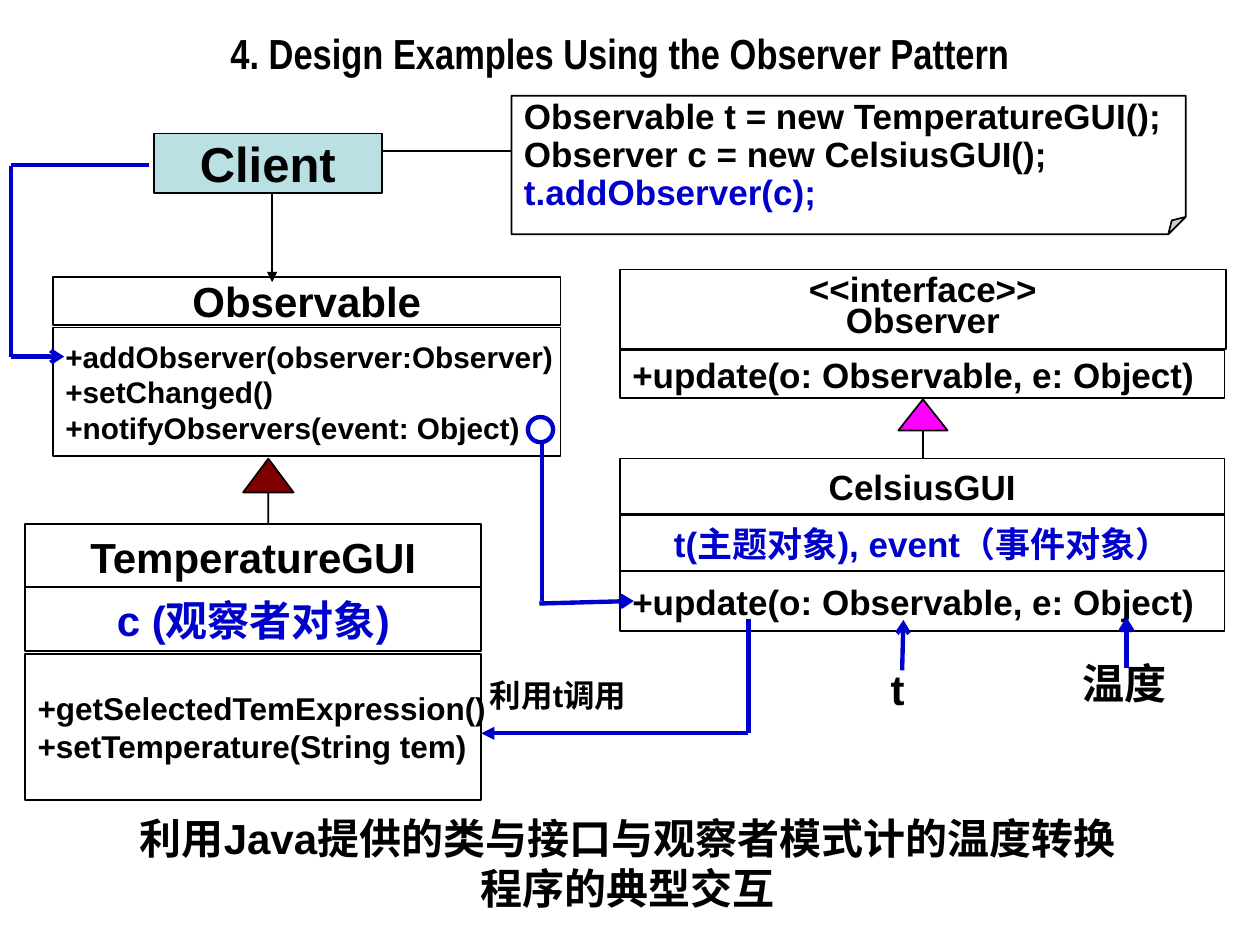
from lxml import etree
from pptx import Presentation
from pptx import util as u
from pptx.dml.color import RGBColor
from pptx.enum import shapes, text
from pptx.oxml.ns import qn

HUES = {"black": "000000", "white": "FFFFFF", "blue": "0000CC",
        "teal": "BBE0E3", "maroon": "800000", "pink": "FF00FF"}
KIND = shapes.MSO_SHAPE
MID = text.PP_ALIGN.CENTER
LEFT = text.PP_ALIGN.LEFT


def rgb(hue):
    return RGBColor.from_string(HUES[hue])


def inch(nums):
    return [u.Inches(n) for n in nums]


def write(frame, rows, size, hue="black", align=MID, font="Arial",
          gap=None, before=None):
    """Fill a frame; a row is its words, or a pair of words and hue."""
    for i, row in enumerate(rows):
        words, tint = row if isinstance(row, tuple) else (row, hue)
        para = frame.paragraphs[0] if i == 0 else frame.add_paragraph()
        para.alignment = align
        if gap:
            para.line_spacing = gap
        if before:
            para.space_before = u.Pt(before)
        run = para.add_run()
        run.text = words
        run.font.name = font
        run.font.size = u.Pt(size)
        run.font.bold = True
        run.font.color.rgb = rgb(tint)


def pad(frame, side, edge):
    frame.margin_left = frame.margin_right = u.Inches(side)
    frame.margin_top = frame.margin_bottom = u.Inches(edge)


def form(on, kind, at, fill="white", line="black", width=1):
    item = on.add_shape(kind, *inch(at))
    item.shadow.inherit = False
    item.fill.solid()
    item.fill.fore_color.rgb = rgb(fill)
    item.line.color.rgb = rgb(line)
    item.line.width = u.Pt(width)
    return item


def box(on, at, rows, size, kind=KIND.RECTANGLE, fill="white",
        wrap=False, inset=(0.1, 0.05), **style):
    item = form(on, kind, at, fill)
    frame = item.text_frame
    frame.word_wrap = wrap
    frame.vertical_anchor = text.MSO_ANCHOR.MIDDLE
    pad(frame, *inset)
    write(frame, rows, size, **style)
    return item


def label(on, at, words, size, **style):
    frame = on.add_textbox(*inch(at)).text_frame
    frame.word_wrap = True
    frame.auto_size = text.MSO_AUTO_SIZE.SHAPE_TO_FIT_TEXT
    pad(frame, 0.1, 0.05)
    write(frame, [words], size, **style)


def wire(on, start, end, tip=None, hue="blue", width=2.5):
    link = on.add_connector(shapes.MSO_CONNECTOR.STRAIGHT, *inch(start + end))
    link.line.color.rgb = rgb(hue)
    link.line.width = u.Pt(width)
    props = link._element.spPr
    if tip:
        etree.SubElement(props.find(qn("a:ln")), qn("a:tailEnd"), type=tip)
    etree.SubElement(props, qn("a:effectLst"))


def route(on, legs, tip):
    """Draw a bent line from straight legs, with a tip on the last."""
    for start, end in legs[:-1]:
        wire(on, start, end)
    wire(on, *legs[-1], tip)


def parent(on, at, head, fill):
    """Inheritance arrow: a triangle on a thin stem."""
    item = form(on, KIND.UP_ARROW, at, fill)
    item.adjustments[0] = 0
    item.adjustments[1] = head


def subject(on):
    """Observable and the upper and lower parts of its subclass."""
    parent(on, (1.93, 3.64, 0.4, 0.62), 0.671, "maroon")
    box(on, (0.42, 2.2, 4.03, 0.38), ["Observable"], 24)
    box(on, (0.42, 2.6, 4.03, 1.02),
        ["+addObserver(observer:Observer)", "+setChanged()",
         "+notifyObservers(event: Object)"], 17, align=LEFT)
    box(on, (0.2, 4.16, 3.62, 0.51), ["TemperatureGUI"], 24)
    box(on, (0.2, 5.19, 3.62, 1.16),
        ["+getSelectedTemExpression()", "+setTemperature(String tem)"],
        18, align=LEFT)


def viewer(on):
    """Observer interface and the class that implements it."""
    parent(on, (7.13, 3.17, 0.39, 0.47), 0.631, "pink")
    box(on, (4.92, 2.14, 4.81, 0.63), ["<<interface>>", "Observer"], 20,
        wrap=True, inset=(0.1, 0), gap=u.Pt(18))
    for top, high in ((2.78, 0.38), (4.53, 0.48)):
        box(on, (4.92, top, 4.8, high), ["+update(o: Observable, e: Object)"],
            20, align=LEFT)
    box(on, (4.92, 3.64, 4.8, 0.44), ["CelsiusGUI"], 20, inset=(0, 0))


def client(on):
    wire(on, (2.16, 1.53), (2.16, 2.24), "triangle", "black", 1)
    note = box(on, (4.06, 0.76, 5.35, 1.1),
               ["Observable t = new TemperatureGUI();",
                "Observer c = new CelsiusGUI();",
                ("t.addObserver(c);", "blue")],
               20, KIND.FOLDED_CORNER, align=LEFT, gap=0.9)
    fold = next(note._element.spPr.iter(qn("a:avLst")))
    etree.SubElement(fold, qn("a:gd"), name="adj", fmla="val 12500")
    wire(on, (2.72, 1.2), (4.06, 1.2), None, "black", 1)
    box(on, (1.22, 1.06, 1.81, 0.47), ["Client"], 28, fill="teal")


def main():
    deck = Presentation()
    deck.slide_width, deck.slide_height = inch((10, 7.5))
    on = deck.slides.add_slide(deck.slide_layouts[6]).shapes

    def group():
        return on.add_group_shape().shapes

    subject(on)
    viewer(on)
    route(group(), [((5.94, 4.91), (5.94, 5.82)),
                    ((5.94, 5.82), (3.82, 5.82))], "triangle")
    label(on, (3.79, 5.32, 1.5, 0.4), "利用t调用", 18, align=LEFT, before=11.2)
    client(on)
    route(group(), [((1.18, 1.31), (0.09, 1.31)),
                    ((0.09, 1.32), (0.09, 2.83)),
                    ((0.09, 2.83), (0.51, 2.83))], "arrow")
    box(on, (0.2, 4.66, 3.62, 0.51), ["c (观察者对象)"], 24, hue="blue")
    box(on, (4.92, 4.09, 4.8, 0.44), ["t(主题对象), event（事件对象）"], 20,
        inset=(0, 0), hue="blue")

    notify = group()
    route(notify, [((4.3, 3.5), (4.3, 4.77)),
                   ((4.28, 4.79), (5.03, 4.77))], "arrow")
    form(notify, KIND.OVAL, (4.19, 3.31, 0.2, 0.2), line="blue", width=2.5)

    for at, words, font, start, end in (
            ((6.97, 5.22, 0.55, 0.5), "t", "Arial",
             (7.16, 5.32), (7.17, 4.92)),
            ((8.49, 5.17, 1.15, 0.5), "温度", "Noto Sans CJK SC",
             (8.94, 5.3), (8.94, 4.9))):
        hint = group()
        label(hint, at, words, 24, align=LEFT, font=font, before=15)
        wire(hint, start, end, "arrow")

    label(on, (0.89, 6.4, 8.18, 0.9),
          "利用Java提供的类与接口与观察者模式计的温度转换程序的典型交互", 24)
    label(on, (0.43, 0.17, 8.98, 0.5),
          "4. Design Examples Using the Observer Pattern", 24,
          font="Arial Narrow")
    deck.save("out.pptx")


if __name__ == "__main__":
    main()
